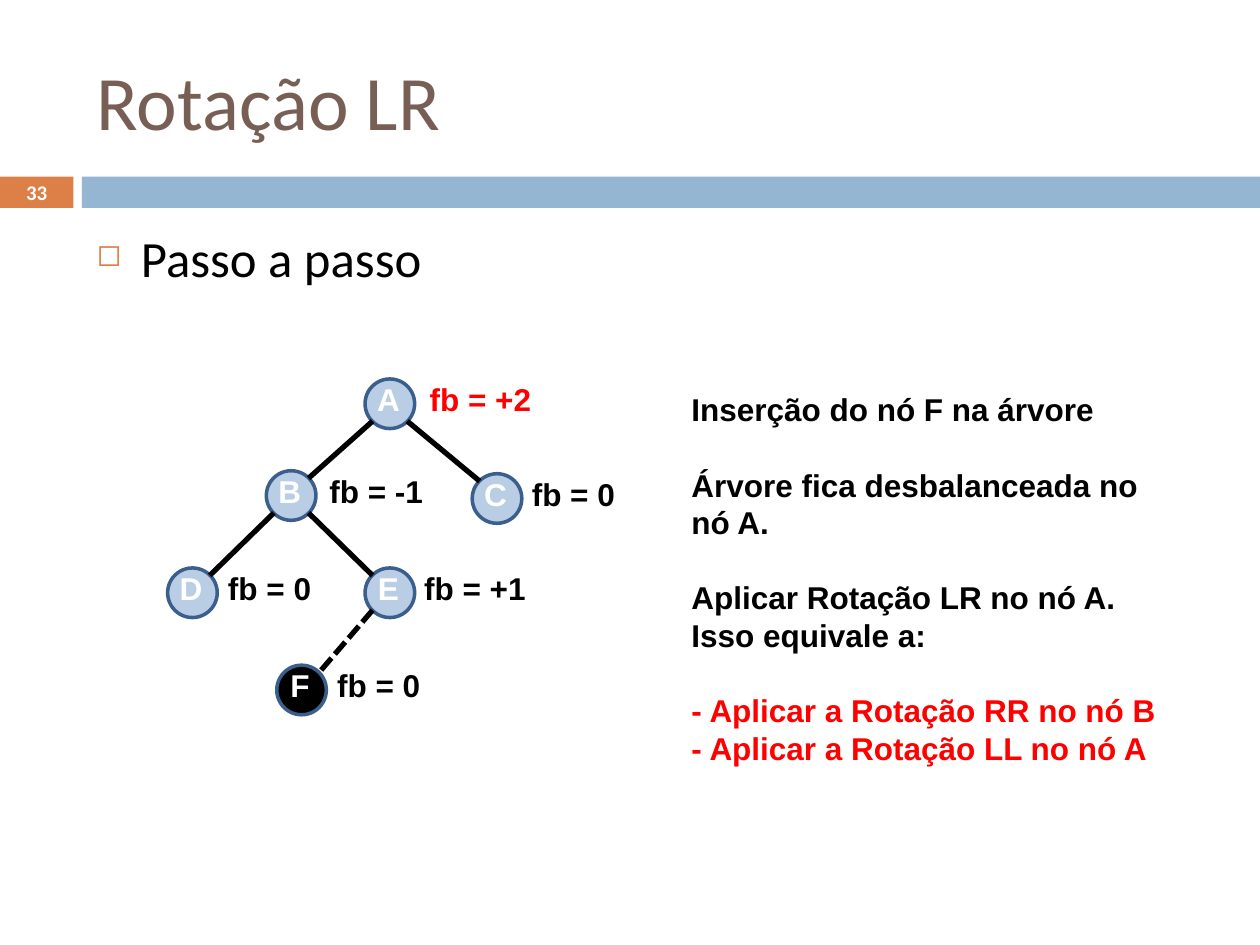
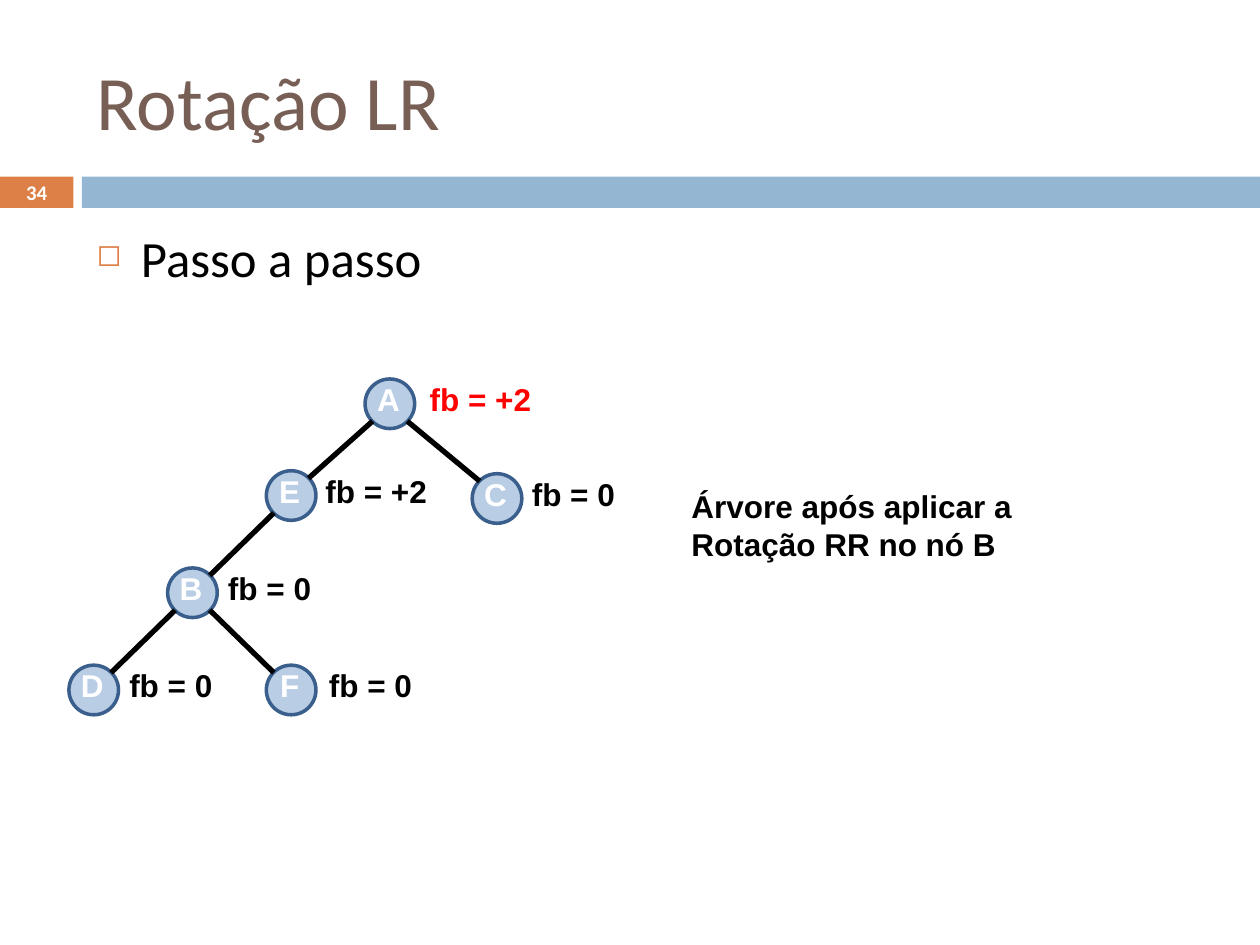
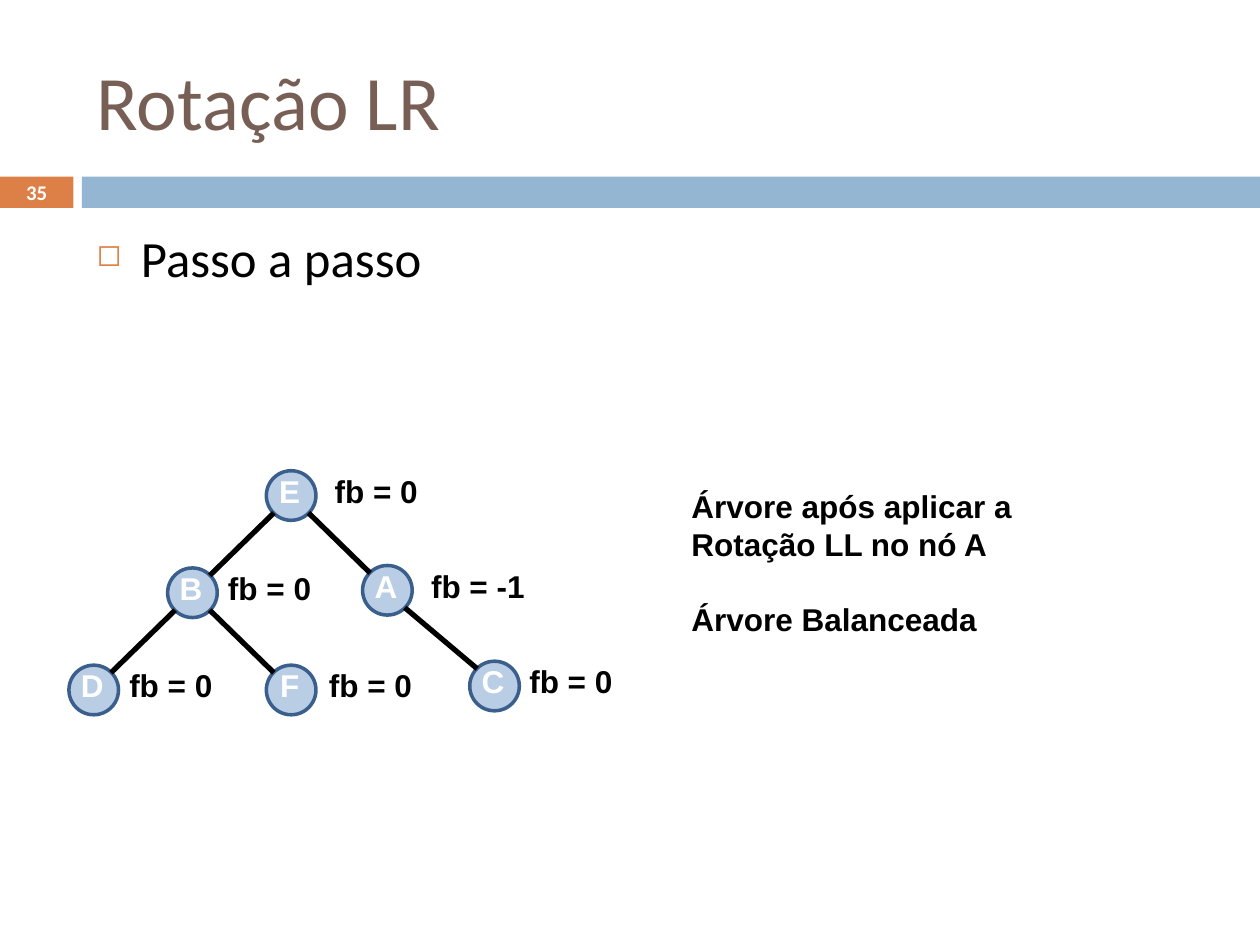
from dataclasses import dataclass

from lxml import etree
from pptx import Presentation
from pptx.dml.color import RGBColor
from pptx.enum.dml import MSO_LINE
from pptx.enum.shapes import MSO_CONNECTOR, MSO_SHAPE
from pptx.enum.text import MSO_ANCHOR, PP_ALIGN
from pptx.oxml.ns import qn
from pptx.util import Cm, Pt

RECTANGLE, ELLIPSE = MSO_SHAPE.RECTANGLE, MSO_SHAPE.OVAL
STRAIGHT = MSO_CONNECTOR.STRAIGHT
DOTTED = MSO_LINE.SQUARE_DOT
LEFT, CENTER = PP_ALIGN.LEFT, PP_ALIGN.CENTER
TOP, MIDDLE = MSO_ANCHOR.TOP, MSO_ANCHOR.MIDDLE


@dataclass(frozen=True)
class Theme:
    title: str = "775F55"
    accent: str = "DD8047"
    band: str = "94B6D2"
    node: str = "B9CDE5"
    outline: str = "3A5F8C"
    text: str = "000000"
    alert: str = "FF0000"
    light: str = "FFFFFF"
    heading_font: str = "Calibri"
    tree_font: str = "Arial"
    title_size: float = 44
    topic_size: float = 29
    tree_size: float = 18
    tree_line: float = 21.5
    number_size: float = 11.9


THEME = Theme()


@dataclass(frozen=True)
class Box:
    """An area in centimetres."""
    left: float
    top: float
    width: float
    height: float

    def inner(self, left, top, width, height):
        return Box(self.left + left, self.top + top, width, height)

    def emu(self):
        return Cm(self.left), Cm(self.top), Cm(self.width), Cm(self.height)


# Start and width of a balance label, measured from the node centre.
SPAN_ROOT = (0.39, 2.87)
SPAN_MIDDLE = (0.38, 2.67)
SPAN_RIGHT = (0.09, 2.9)
SPAN_WIDE = (-0.11, 3.33)
SPAN_LEAF = (0.37, 2.46)


@dataclass(frozen=True)
class Node:
    """A tree node, centred at x, y inside the tree area."""
    letter: str
    x: float
    y: float
    balance: str
    span: tuple
    fill: str = THEME.node
    balance_color: str = THEME.text


HEADER = Box(0, 0.64, 25.4, 3.55)
TOPIC = Box(1.7, 4.45, 22.66, 12.5)
TREE = Box(1.2, 7.54, 11.8, 6.87)
NODE_SIZE = 1
EDGE_OFFSET = 0.35
LABEL_RISE = 0.6
LABEL_HEIGHT = 1.02
COLUMNS = [0.69 + 1.99 * column for column in range(4)]
ROWS = [0.6, 2.45, 4.41, 6.37]

ROOT_A = Node("A", COLUMNS[3], ROWS[0], "fb = +2", SPAN_ROOT,
              balance_color=THEME.alert)
RIGHT_C = Node("C", 8.82, 2.51, "fb = 0", SPAN_RIGHT)
ROTATED_LEFT = [
    Node("B", COLUMNS[1], ROWS[2], "fb = 0", SPAN_WIDE),
    Node("D", COLUMNS[0], ROWS[3], "fb = 0", SPAN_WIDE),
    Node("F", COLUMNS[2], ROWS[3], "fb = 0", SPAN_LEAF),
]

# Each step: number, nodes, edges, dotted edges, notes area, notes.
# A note is its text, its colour and whether it starts a new group.
STEPS = [
    (33,
     [ROOT_A, RIGHT_C,
      Node("B", COLUMNS[2], ROWS[1], "fb = -1", SPAN_MIDDLE),
      Node("D", COLUMNS[1], ROWS[2], "fb = 0", SPAN_WIDE),
      Node("E", COLUMNS[3], ROWS[2], "fb = +1", SPAN_MIDDLE),
      Node("F", 4.88, ROWS[3], "fb = 0", SPAN_WIDE, fill=THEME.text)],
     ["AB", "AC", "BD", "BE"], ["EF"], Box(13.69, 7.75, 10.11, 7.95),
     [("Inserção do nó F na árvore", THEME.text, False),
      ("Árvore fica desbalanceada no nó A.", THEME.text, True),
      ("Aplicar Rotação LR no nó A. Isso equivale a:", THEME.text, True),
      ("- Aplicar a Rotação RR no nó B", THEME.alert, True),
      ("- Aplicar a Rotação LL no nó A", THEME.alert, False)]),
    (34,
     [ROOT_A, RIGHT_C,
      Node("E", COLUMNS[2], ROWS[1], "fb = +2", SPAN_MIDDLE), *ROTATED_LEFT],
     ["AE", "AC", "EB", "BD", "BF"], [], Box(13.69, 9.7, 7.14, 1.8),
     [("Árvore após aplicar a Rotação RR no nó B", THEME.text, False)]),
    (35,
     [Node("E", COLUMNS[2], ROWS[1], "fb = 0", SPAN_MIDDLE),
      Node("A", 6.61, 4.36, "fb = -1", SPAN_ROOT),
      Node("C", 8.77, 6.29, "fb = 0", SPAN_RIGHT), *ROTATED_LEFT],
     ["EB", "EA", "AC", "BD", "BF"], [], Box(13.69, 9.7, 7.34, 4.11),
     [("Árvore após aplicar a Rotação LL no nó A", THEME.text, False),
      ("Árvore Balanceada", THEME.text, True)]),
]


def rgb(value):
    return RGBColor.from_string(value)


def add_filled(slide, preset, box, fill, outline=None):
    shape = slide.shapes.add_shape(preset, *box.emu())
    shape.shadow.inherit = False
    shape.fill.solid()
    shape.fill.fore_color.rgb = rgb(fill)
    if outline:
        shape.line.color.rgb = rgb(outline)
        shape.line.width = Pt(2)
    else:
        shape.line.fill.background()


def add_frame(slide, box, anchor=TOP):
    frame = slide.shapes.add_textbox(*box.emu()).text_frame
    frame.word_wrap = True
    frame.vertical_anchor = anchor
    return frame


def style(paragraph, font_name, size, color, bold=False, align=LEFT):
    paragraph.alignment = align
    for run in paragraph.runs:
        run.font.name = font_name
        run.font.size = Pt(size)
        run.font.bold = bold
        run.font.color.rgb = rgb(color)


def style_tree_text(paragraph, color, align=LEFT):
    paragraph.line_spacing = Pt(THEME.tree_line)
    style(paragraph, THEME.tree_font, THEME.tree_size, color, True, align)


def add_header(slide, box, title, number):
    add_filled(slide, RECTANGLE, box.inner(0, 2.92, 1.48, 0.63), THEME.accent)
    add_filled(slide, RECTANGLE, box.inner(1.65, 2.92, box.width - 1.65, 0.63),
               THEME.band)
    title_frame = add_frame(slide, box.inner(1.7, 0, 22.66, 2.74), MIDDLE)
    title_frame.text = title
    style(title_frame.paragraphs[0], THEME.heading_font, THEME.title_size,
          THEME.title)
    number_frame = add_frame(slide, box.inner(0, 2.89, 1.48, 0.69), MIDDLE)
    number_frame.margin_top = number_frame.margin_bottom = 0
    number_frame.text = str(number)
    style(number_frame.paragraphs[0], THEME.heading_font, THEME.number_size,
          THEME.light, True, CENTER)


def add_topic(slide, box, topic):
    frame = add_frame(slide, box)
    frame.text = topic
    paragraph = frame.paragraphs[0]
    properties = paragraph._p.get_or_add_pPr()
    properties.set("marL", str(Cm(0.89)))
    properties.set("indent", str(-Cm(0.89)))
    bullet_color = etree.SubElement(properties, qn("a:buClr"))
    etree.SubElement(bullet_color, qn("a:srgbClr"), val=THEME.accent)
    etree.SubElement(properties, qn("a:buSzPct"), val="60000")
    etree.SubElement(properties, qn("a:buChar"), char="◻")
    style(paragraph, THEME.heading_font, THEME.topic_size, THEME.text)


def add_edge(slide, box, parent, child, dash=None):
    """Join the diagonal points where the two circles face each other."""
    shift = EDGE_OFFSET if child.x > parent.x else -EDGE_OFFSET
    edge = slide.shapes.add_connector(
        STRAIGHT,
        Cm(box.left + parent.x + shift), Cm(box.top + parent.y + EDGE_OFFSET),
        Cm(box.left + child.x - shift), Cm(box.top + child.y - EDGE_OFFSET))
    edge.line.color.rgb = rgb(THEME.text)
    edge.line.width = Pt(3)
    if dash:
        edge.line.dash_style = dash
    etree.SubElement(edge._element.spPr, qn("a:effectLst"))


def add_label(slide, box, text, color):
    frame = add_frame(slide, box)
    frame.text = text
    style_tree_text(frame.paragraphs[0], color, CENTER)


def add_tree(slide, box, nodes, edges, dotted_edges):
    by_letter = {node.letter: node for node in nodes}
    radius = NODE_SIZE / 2
    for node in nodes:
        circle = box.inner(node.x - radius, node.y - radius,
                           NODE_SIZE, NODE_SIZE)
        add_filled(slide, ELLIPSE, circle, node.fill, THEME.outline)
    for parent, child in edges:
        add_edge(slide, box, by_letter[parent], by_letter[child])
    for parent, child in dotted_edges:
        add_edge(slide, box, by_letter[parent], by_letter[child], DOTTED)
    for node in nodes:
        top = node.y - LABEL_RISE
        start, width = node.span
        add_label(slide, box.inner(node.x - 0.68, top, 1.3, LABEL_HEIGHT),
                  node.letter, THEME.light)
        add_label(slide, box.inner(node.x + start, top, width, LABEL_HEIGHT),
                  node.balance, node.balance_color)


def add_notes(slide, box, notes):
    frame = add_frame(slide, box)
    frame.text = "\n".join(text for text, _, _ in notes)
    for paragraph, (_, color, new_group) in zip(frame.paragraphs, notes):
        if new_group:
            paragraph.space_before = Pt(THEME.tree_line)
        style_tree_text(paragraph, color)


def main():
    deck = Presentation()
    deck.slide_width, deck.slide_height = Cm(25.4), Cm(19.05)
    blank = deck.slide_layouts[6]
    for number, nodes, edges, dotted_edges, notes_box, notes in STEPS:
        slide = deck.slides.add_slide(blank)
        add_header(slide, HEADER, "Rotação LR", number)
        add_topic(slide, TOPIC, "Passo a passo")
        add_tree(slide, TREE, nodes, edges, dotted_edges)
        add_notes(slide, notes_box, notes)
    deck.save("out.pptx")


if __name__ == "__main__":
    main()
